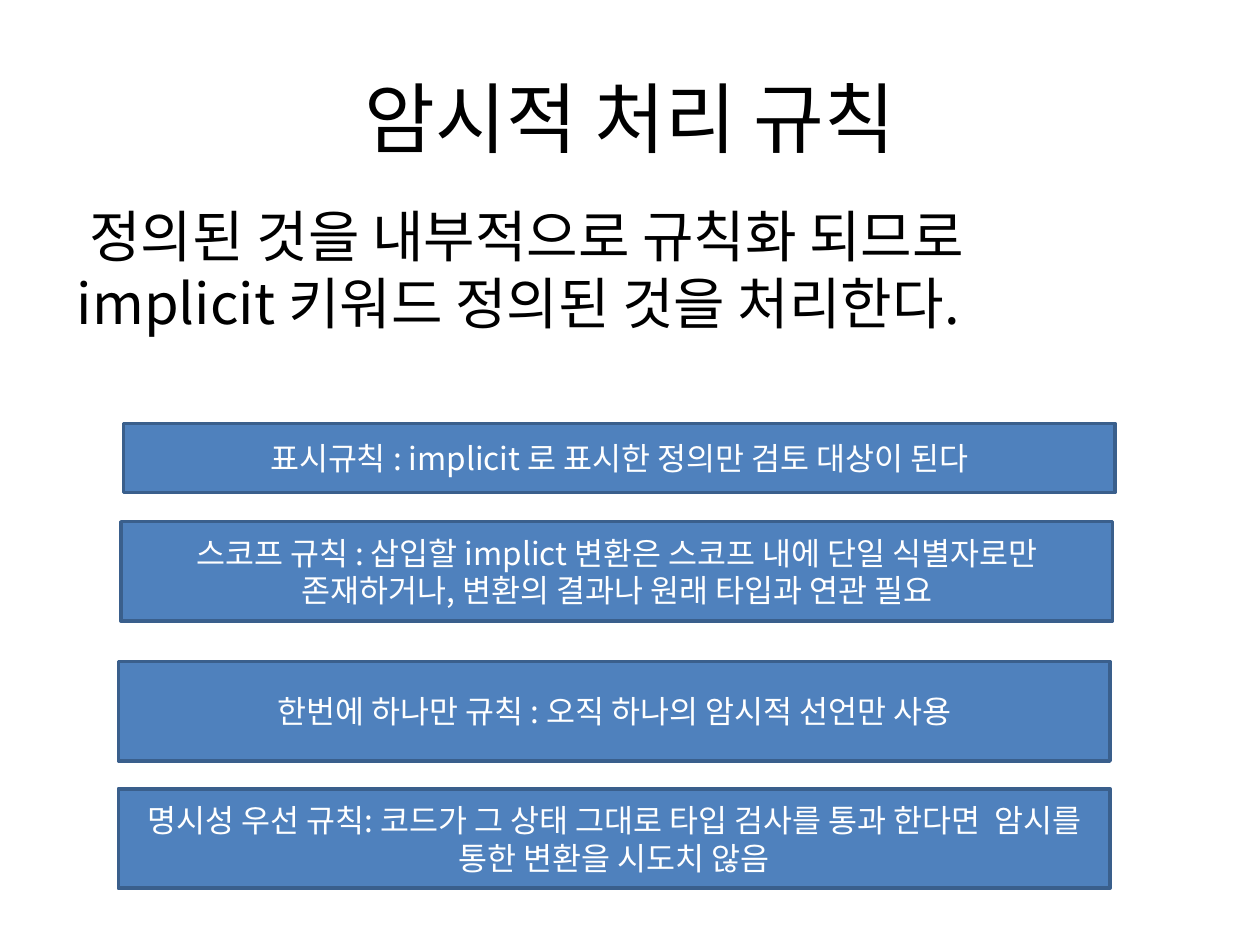
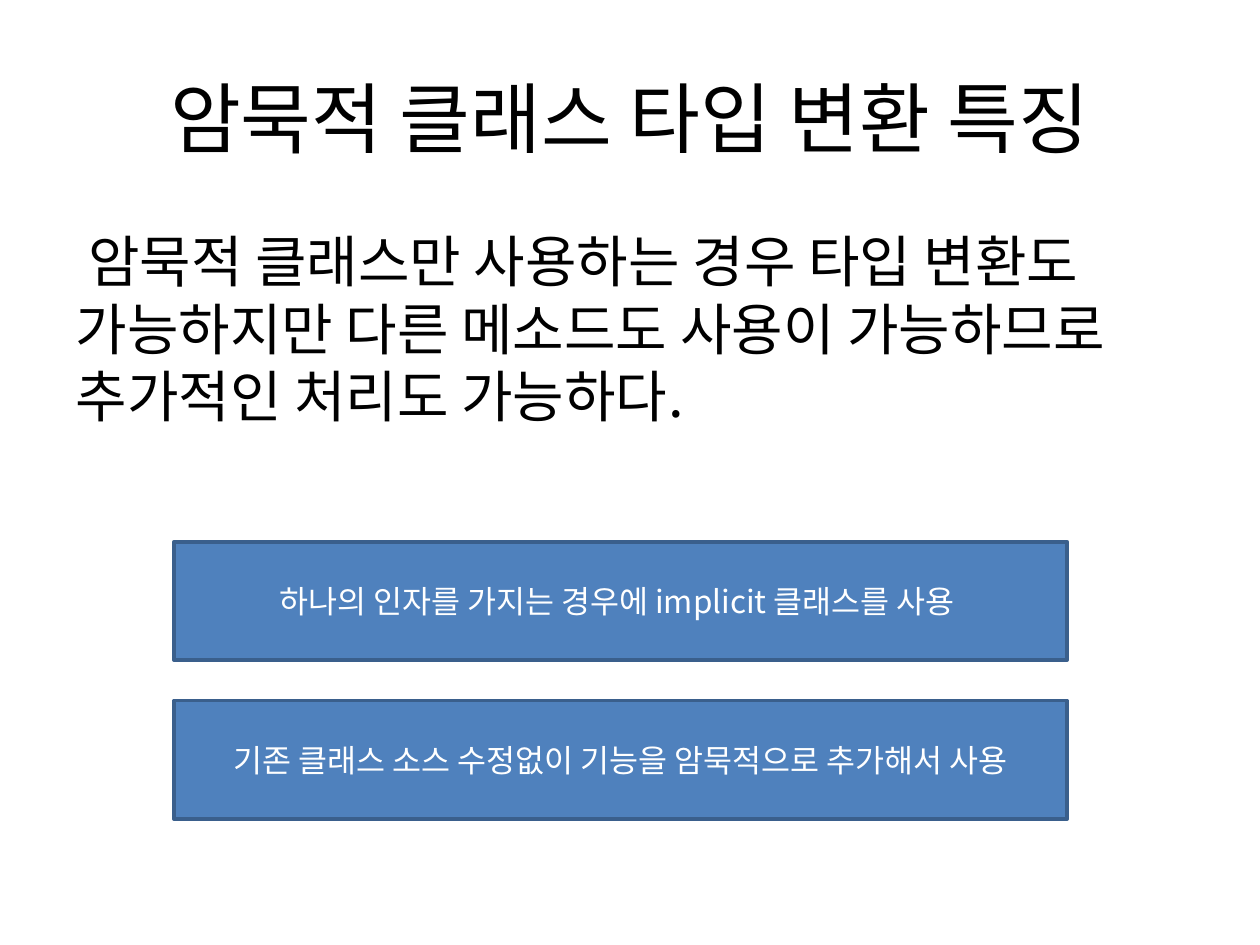
from lxml import etree
from pptx import Presentation
from pptx.dml.color import RGBColor
from pptx.enum.shapes import MSO_SHAPE
from pptx.enum.text import MSO_ANCHOR, MSO_AUTO_SIZE, PP_ALIGN
from pptx.oxml.ns import qn
from pptx.util import Inches, Pt

RECTANGLE = MSO_SHAPE.RECTANGLE
MIDDLE, TOP = MSO_ANCHOR.MIDDLE, MSO_ANCHOR.TOP
CENTER, LEFT = PP_ALIGN.CENTER, PP_ALIGN.LEFT
NO_FIT = MSO_AUTO_SIZE.NONE

FONT = "Noto Sans CJK KR"
COLORS = {"ink": "000000", "paper": "FFFFFF", "bar": "4F81BD", "edge": "3A5F8C"}
TITLE_AREA = (0.5, 0.3, 9, 1.25)

PAGES = [
    {
        "title": "암시적 처리 규칙",
        "body": " 정의된 것을 내부적으로 규칙화 되므로 implicit 키워드 정의된 것을 처리한다.",
        "body_area": (0.51, 1.55, 8.83, 1.45),
        "bar_width": 7.87,
        "bars": [
            (0.98, 3.36, 0.55, "표시규칙 : implicit 로 표시한 정의만 검토 대상이 된다"),
            (0.96, 4.14, 0.79, "스코프 규칙 : 삽입할 implict 변환은 스코프 내에 단일 식별자로만 "
                               "존재하거나, 변환의 결과나 원래 타입과 연관 필요"),
            (0.94, 5.25, 0.79, "한번에 하나만 규칙 : 오직 하나의 암시적 선언만 사용"),
            (0.94, 6.26, 0.79, "명시성 우선 규칙: 코드가 그 상태 그대로 타입 검사를 통과 한다면 "
                               " 암시를 통한 변환을 시도치 않음"),
        ],
    },
    {
        "title": "암묵적 클래스 타입 변환 특징",
        "body": " 암묵적 클래스만 사용하는 경우 타입 변환도 가능하지만 다른 메소드도 "
                "사용이 가능하므로 추가적인 처리도 가능하다.",
        "body_area": (0.5, 1.75, 8.83, 1.92),
        "bar_width": 7.09,
        "bars": [
            (1.38, 4.3, 0.94, "하나의 인자를 가지는 경우에 implicit 클래스를 사용 "),
            (1.38, 5.56, 0.94, "기존 클래스 소스 수정없이 기능을 암묵적으로 추가해서 사용"),
        ],
    },
]


def color(name):
    return RGBColor.from_string(COLORS[name])


def place(shape, area):
    shape.left, shape.top, shape.width, shape.height = map(Inches, area)


def write(shape, text, size, ink, align, anchor):
    frame = shape.text_frame
    frame.word_wrap = True
    frame.auto_size = NO_FIT
    frame.vertical_anchor = anchor
    para = frame.paragraphs[0]
    para.alignment = align
    span = para.add_run()
    span.text = text
    span.font.size = Pt(size)
    span.font.color.rgb = color(ink)
    span.font.name = FONT
    etree.SubElement(span.font._element, qn("a:ea"), typeface=FONT)
    return para


def add_body(page, text, area):
    body = page.placeholders[1]
    place(body, area)
    para = write(body, text, 32, "ink", LEFT, TOP)
    properties = para._p.get_or_add_pPr()
    properties.set("marL", "0")
    properties.set("indent", "0")
    etree.SubElement(properties, qn("a:buNone"))


def add_bar(page, left, top, width, height, text):
    bar = page.shapes.add_shape(RECTANGLE, *map(Inches, (left, top, width, height)))
    bar.shadow.inherit = False
    bar.fill.solid()
    bar.fill.fore_color.rgb = color("bar")
    bar.line.color.rgb = color("edge")
    bar.line.width = Pt(2)
    write(bar, text, 18, "paper", CENTER, MIDDLE)


def main():
    deck = Presentation()
    deck.slide_width, deck.slide_height = Inches(10), Inches(7.5)
    for content in PAGES:
        page = deck.slides.add_slide(deck.slide_layouts[1])
        place(page.shapes.title, TITLE_AREA)
        write(page.shapes.title, content["title"], 44, "ink", CENTER, MIDDLE)
        add_body(page, content["body"], content["body_area"])
        for left, top, height, text in content["bars"]:
            add_bar(page, left, top, content["bar_width"], height, text)
    deck.save("out.pptx")


if __name__ == "__main__":
    main()
